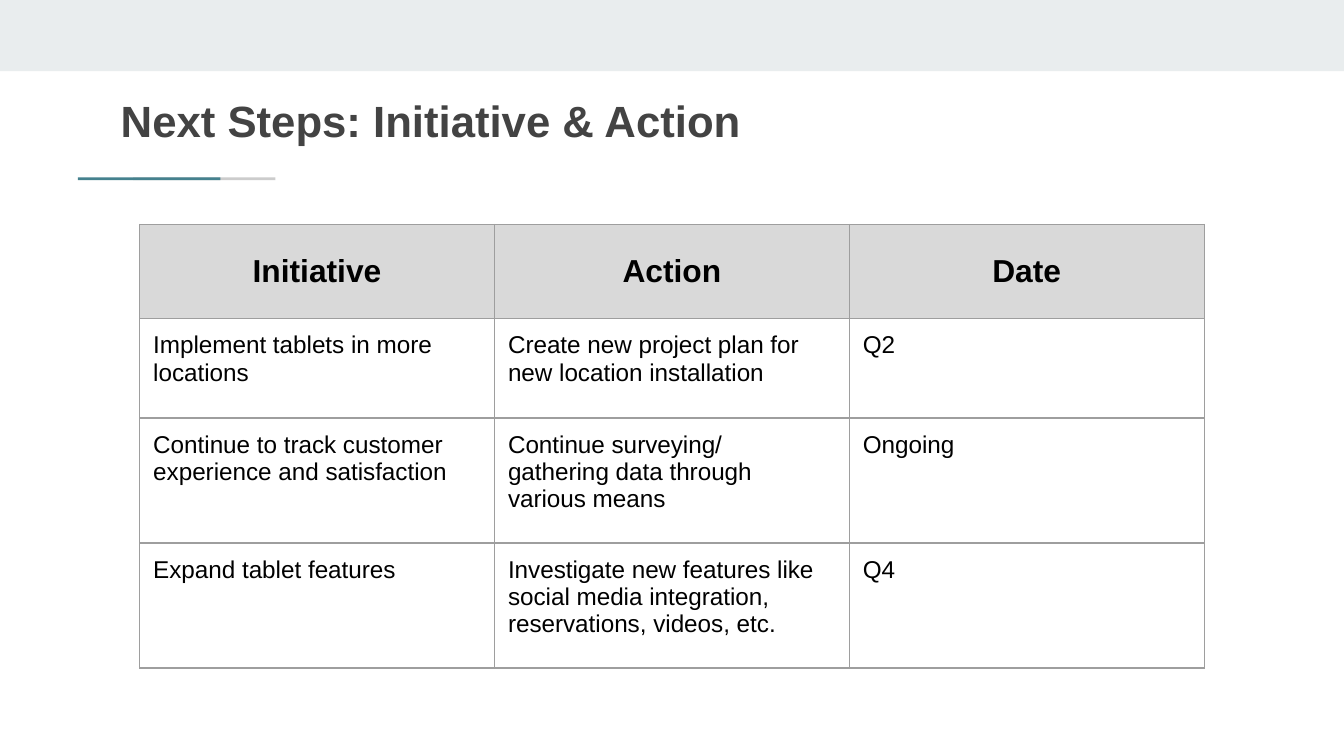
from pptx import Presentation
from pptx.dml.color import RGBColor
from pptx.enum.shapes import MSO_SHAPE as Shape
from pptx.enum.text import MSO_ANCHOR as Anchor, PP_ALIGN as Align
from pptx.oxml import parse_xml
from pptx.oxml.ns import nsdecls
from pptx.util import Inches, Pt

FONT = "Arial"
PAGE_WIDTH = 10
PAGE_HEIGHT = PAGE_WIDTH * 9 / 16
ROWS = [
    ("Initiative", "Action", "Date"),
    ("Implement tablets in more locations",
     "Create new project plan for new location installation", "Q2"),
    ("Continue to track customer experience and satisfaction",
     "Continue surveying/\ngathering data through various means", "Ongoing"),
    ("Expand tablet features",
     "Investigate new features like social media integration, "
     "reservations, videos, etc.", "Q4"),
]
ROW_HEIGHTS = (0.7, 0.74, 0.93, 0.93)


def color(value):
    return RGBColor.from_string(value)


def add_bar(page, left, top, width, height, fill):
    bar = page.shapes.add_shape(
        Shape.RECTANGLE, Inches(left), Inches(top), Inches(width), Inches(height))
    bar.shadow.inherit = False
    bar.fill.solid()
    bar.fill.fore_color.rgb = color(fill)
    bar.line.fill.background()


def add_accent(page, left, top, width, height):
    """Draw a grey rule with a teal rule over its left part."""
    bar_width = 1.06
    add_bar(page, left + width - bar_width, top, bar_width, height, "CCCCCC")
    add_bar(page, left, top, bar_width, height, "45818E")


def set_margins(area):
    area.margin_left = area.margin_right = Inches(0.1)
    area.margin_top = area.margin_bottom = Inches(0.1)


def style_text(frame, size, bold, text_color, align):
    for para in frame.paragraphs:
        para.alignment = align
        para.font.name = FONT
        para.font.size = Pt(size)
        para.font.bold = bold
        para.font.color.rgb = color(text_color)


def add_title(page, left, top, width, height):
    box = page.shapes.add_textbox(
        Inches(left), Inches(top), Inches(width), Inches(height))
    frame = box.text_frame
    frame.word_wrap = True
    frame.vertical_anchor = Anchor.BOTTOM
    set_margins(frame)
    frame.text = "Next Steps: Initiative & Action"
    style_text(frame, 23.4, True, "434343", Align.LEFT)


def add_borders(cell):
    properties = cell._tc.get_or_add_tcPr()
    for index, side in enumerate(("lnL", "lnR", "lnT", "lnB")):
        properties.insert(index, parse_xml(
            f'<a:{side} {nsdecls("a")} w="{Pt(0.75)}"><a:solidFill>'
            f'<a:srgbClr val="9E9E9E"/></a:solidFill></a:{side}>'))


def add_action_table(page, left, top, width):
    columns = len(ROWS[0])
    table = page.shapes.add_table(
        len(ROWS), columns, Inches(left), Inches(top),
        Inches(width), Inches(sum(ROW_HEIGHTS))).table
    table.horz_banding = False
    for column in table.columns:
        column.width = Inches(width / columns)
    for row_index, (texts, height) in enumerate(zip(ROWS, ROW_HEIGHTS)):
        table.rows[row_index].height = Inches(height)
        header = row_index == 0
        for column_index, text in enumerate(texts):
            cell = table.cell(row_index, column_index)
            cell.text = text
            set_margins(cell)
            cell.vertical_anchor = Anchor.MIDDLE if header else Anchor.TOP
            if header:
                cell.fill.solid()
                cell.fill.fore_color.rgb = color("D9D9D9")
            else:
                cell.fill.background()
            style_text(cell.text_frame, 17 if header else 13, header,
                       "000000", Align.CENTER if header else Align.LEFT)
            add_borders(cell)


def main():
    deck = Presentation()
    deck.slide_width, deck.slide_height = Inches(PAGE_WIDTH), Inches(PAGE_HEIGHT)
    page = deck.slides.add_slide(deck.slide_layouts[6])
    add_bar(page, 0, 0, PAGE_WIDTH, 0.53, "E9EDEE")
    add_accent(page, 0.58, 1.32, 1.47, 0.02)
    add_title(page, 0.8, 0.6, 8.41, 0.59)
    add_action_table(page, 1.04, 1.67, 7.92)
    deck.save("out.pptx")


if __name__ == "__main__":
    main()
